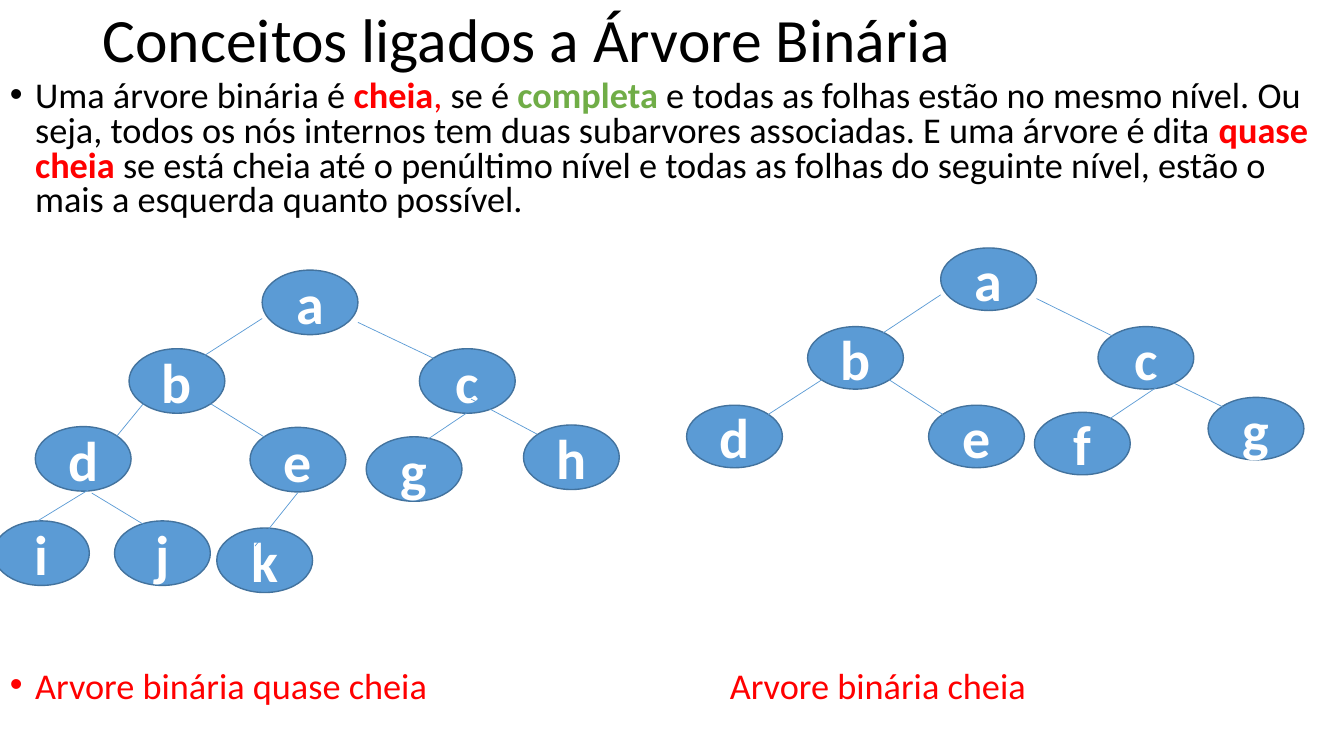
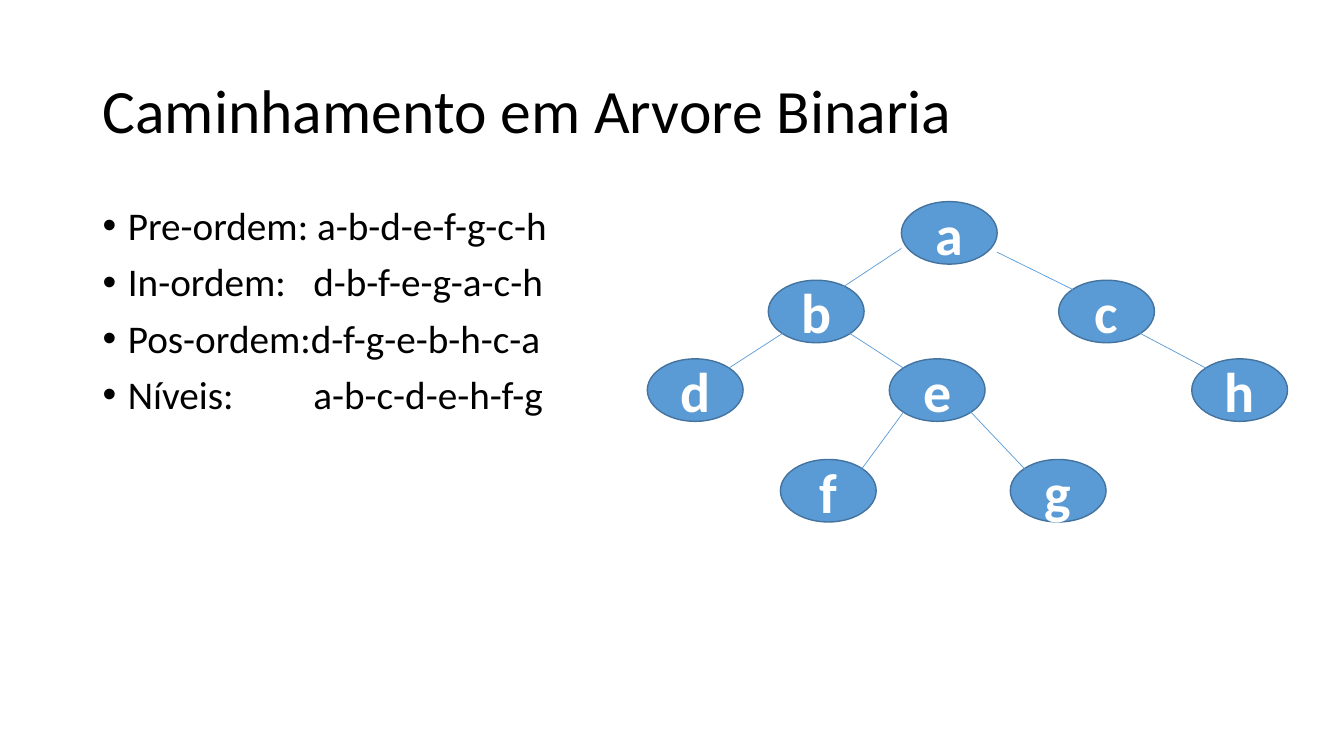
"""Build two slides about binary trees: concepts and traversal."""
from dataclasses import dataclass

from lxml import etree
from pptx import Presentation
from pptx import util as u
from pptx.dml.color import RGBColor
from pptx.enum import shapes, text
from pptx.oxml import ns


@dataclass(frozen=True)
class Theme:
    font: str = "Calibri"
    ink: str = "000000"
    red: str = "FF0000"
    green: str = "70AD47"
    white: str = "FFFFFF"
    node: str = "5B9BD5"
    outline: str = "43739E"
    title_size: float = 44
    node_size: float = 40
    list_size: float = 28
    concept_size: float = 25.9


THEME = Theme()
WIDTH, HEIGHT = 13.33, 7.5
MARGIN, CONTENT_WIDTH = 0.92, 11.5
COLUMN, ROW = 0.12, 0.78
NODE_WIDTH = 0.95
INDENT = 0.25

TOP = {"a": (0, 0, ""), "b": (-11, 1, "a"), "c": (13, 1, "a")}
LEAVES = {"d": (-21, 2, "b"), "e": (-1, 2, "b")}
ALMOST_FULL = TOP | {
    "d": (-18.75, 1.99, "b"), "e": (-1, 2, "b"),
    "g": (8.6, 2.12, "c"), "h": (21.6, 1.97, "c"),
    "i": (-22.2, 3.19, "d"), "j": (-12.2, 3.19, "d"), "k": (-3.75, 3.28, "e"),
}
FULL = TOP | LEAVES | {"f": (7.75, 2.09, "c"), "g": (22.1, 1.9, "c")}
TRAVERSED = TOP | LEAVES | {
    "h": (24, 2, "c"), "f": (-10, 3.28, "e"), "g": (9, 3.28, "e"),
}

LEFT_EDGE = ((0.15, 0.85), (0.85, 0.15))
RIGHT_EDGE = ((0.85, 0.85), (0.15, 0.15))
ROOT_EDGES = {"b": ((0, 0.75), (0.74, 0.15)), "c": ((1, 0.81), (0.15, 0.15))}
ALMOST_FULL_EDGES = {
    "g": ((0.49, 1), (0.4, 0.28)), "h": ((0.54, 0.78), (0.14, 0.14)),
    "i": ((0.6, 0.94), (0.46, 0)), "j": ((0.59, 1.03), (0.31, 0.06)),
    "k": ((0.5, 1.01), (0.4, 0.28)),
}
FULL_EDGES = {"f": ((0.73, 0.85), (0.74, 0.15)), "g": ((0.49, 0.68), (0.15, 0.15))}

DEFINITION = [
    ("Uma árvore binária é ", {}),
    ("cheia", {"color": THEME.red, "bold": True}),
    (", ", {"color": THEME.red}),
    ("se é ", {}),
    ("completa", {"color": THEME.green, "bold": True}),
    (" e todas as folhas estão no mesmo nível. Ou seja, todos os nós internos tem "
     "duas subarvores associadas. E uma árvore é dita ", {}),
    ("quase cheia ", {"color": THEME.red, "bold": True}),
    ("se está cheia até o penúltimo nível e todas as folhas do seguinte nível, "
     "estão o mais a esquerda quanto possível.", {}),
]
ORDERS = [
    "Pre-ordem: a-b-d-e-f-g-c-h",
    "In-ordem:\td-b-f-e-g-a-c-h",
    "Pos-ordem:d-f-g-e-b-h-c-a",
    "Níveis:\ta-b-c-d-e-h-f-g",
]
ORDER_TAB = 2.09


def write(paragraph, words, size, color=THEME.ink, bold=False):
    run = paragraph.add_run()
    run.text = words
    run.font.name = THEME.font
    run.font.size = u.Pt(size)
    run.font.bold = bold
    run.font.color.rgb = RGBColor.from_string(color)


def add_frame(slide, left, top, width, height, anchor=text.MSO_ANCHOR.TOP):
    box = slide.shapes.add_textbox(*map(u.Inches, (left, top, width, height)))
    frame = box.text_frame
    frame.word_wrap = True
    frame.vertical_anchor = anchor
    return frame


def add_title(slide, words, top, height):
    frame = add_frame(slide, MARGIN, top, CONTENT_WIDTH, height, text.MSO_ANCHOR.MIDDLE)
    frame.paragraphs[0].line_spacing = 0.9
    write(frame.paragraphs[0], words, THEME.title_size)


def set_bullet(paragraph, color, tab=None):
    props = paragraph._p.get_or_add_pPr()
    props.set("marL", str(u.Inches(INDENT)))
    props.set("indent", str(-u.Inches(INDENT)))
    tint = etree.SubElement(props, ns.qn("a:buClr"))
    etree.SubElement(tint, ns.qn("a:srgbClr"), val=color)
    etree.SubElement(props, ns.qn("a:buFont"), typeface="Arial")
    etree.SubElement(props, ns.qn("a:buChar"), char="•")
    if tab:
        stops = etree.SubElement(props, ns.qn("a:tabLst"))
        etree.SubElement(stops, ns.qn("a:tab"), pos=str(u.Inches(tab)), algn="l")


def add_item(frame, pieces, size, spacing, bullet=THEME.ink, tab=None):
    first = frame.paragraphs[0]
    paragraph = frame.add_paragraph() if first.runs else first
    paragraph.line_spacing = spacing
    paragraph.space_before = u.Pt(10)
    if bullet:
        set_bullet(paragraph, bullet, tab)
    for words, style in pieces:
        write(paragraph, words, size, **style)


def add_caption(slide, words, left, bullet=None):
    frame = add_frame(slide, left, 6.61, WIDTH * 0.45, 0.5)
    add_item(frame, [(words, {"color": THEME.red})], THEME.concept_size, 0.8, bullet)


def add_node(slide, letter, left, top, height):
    node = slide.shapes.add_shape(
        shapes.MSO_SHAPE.OVAL, *map(u.Inches, (left, top, NODE_WIDTH, height)))
    node.shadow.inherit = False
    node.fill.solid()
    node.fill.fore_color.rgb = RGBColor.from_string(THEME.node)
    node.line.color.rgb = RGBColor.from_string(THEME.outline)
    node.line.width = u.Pt(1)
    node.text_frame.vertical_anchor = text.MSO_ANCHOR.MIDDLE
    label = node.text_frame.paragraphs[0]
    label.alignment = text.PP_ALIGN.CENTER
    write(label, letter, THEME.node_size, THEME.white, True)


def add_edge(slide, start, end):
    edge = slide.shapes.add_connector(
        shapes.MSO_CONNECTOR.STRAIGHT, *map(u.Inches, (*start, *end)))
    edge.line.color.rgb = RGBColor.from_string(THEME.node)
    edge.line.width = u.Pt(0.5)
    etree.SubElement(edge._element.spPr, ns.qn("a:effectLst"))


def add_tree(slide, tree, left, top, node_height=0.62, edges=None):
    special = ROOT_EDGES | (edges or {})
    corners = {letter: (left + column * COLUMN, top + row * ROW)
               for letter, (column, row, _) in tree.items()}

    def point(letter, share):
        x, y = corners[letter]
        return x + share[0] * NODE_WIDTH, y + share[1] * node_height

    for letter, corner in corners.items():
        add_node(slide, letter, *corner, node_height)
    for letter, (column, _, parent) in tree.items():
        if parent:
            usual = LEFT_EDGE if column < tree[parent][0] else RIGHT_EDGE
            leave, reach = special.get(letter, usual)
            add_edge(slide, point(parent, leave), point(letter, reach))


def build_concepts(slide):
    add_title(slide, "Conceitos ligados a Árvore Binária", 0, 0.85)
    add_item(add_frame(slide, 0, 0.75, WIDTH, 1.6), DEFINITION, THEME.concept_size, 0.8)
    add_tree(slide, FULL, 9.33, 2.46, edges=FULL_EDGES)
    add_tree(slide, ALMOST_FULL, 2.6, 2.68, 0.64, ALMOST_FULL_EDGES)
    add_caption(slide, "Arvore binária quase cheia", 0, THEME.red)
    add_caption(slide, "Arvore binária cheia", 7.14)


def build_traversal(slide):
    add_title(slide, "Caminhamento em Arvore Binaria", 0.4, 1.45)
    orders = add_frame(slide, MARGIN, 2, CONTENT_WIDTH, 4.76)
    for order in ORDERS:
        add_item(orders, [(order, {})], THEME.list_size, 0.9, tab=ORDER_TAB)
    add_tree(slide, TRAVERSED, 8.94, 2)


def main():
    deck = Presentation()
    deck.slide_width, deck.slide_height = u.Inches(WIDTH), u.Inches(HEIGHT)
    for build in (build_concepts, build_traversal):
        build(deck.slides.add_slide(deck.slide_layouts[6]))
    deck.save("out.pptx")


if __name__ == "__main__":
    main()
